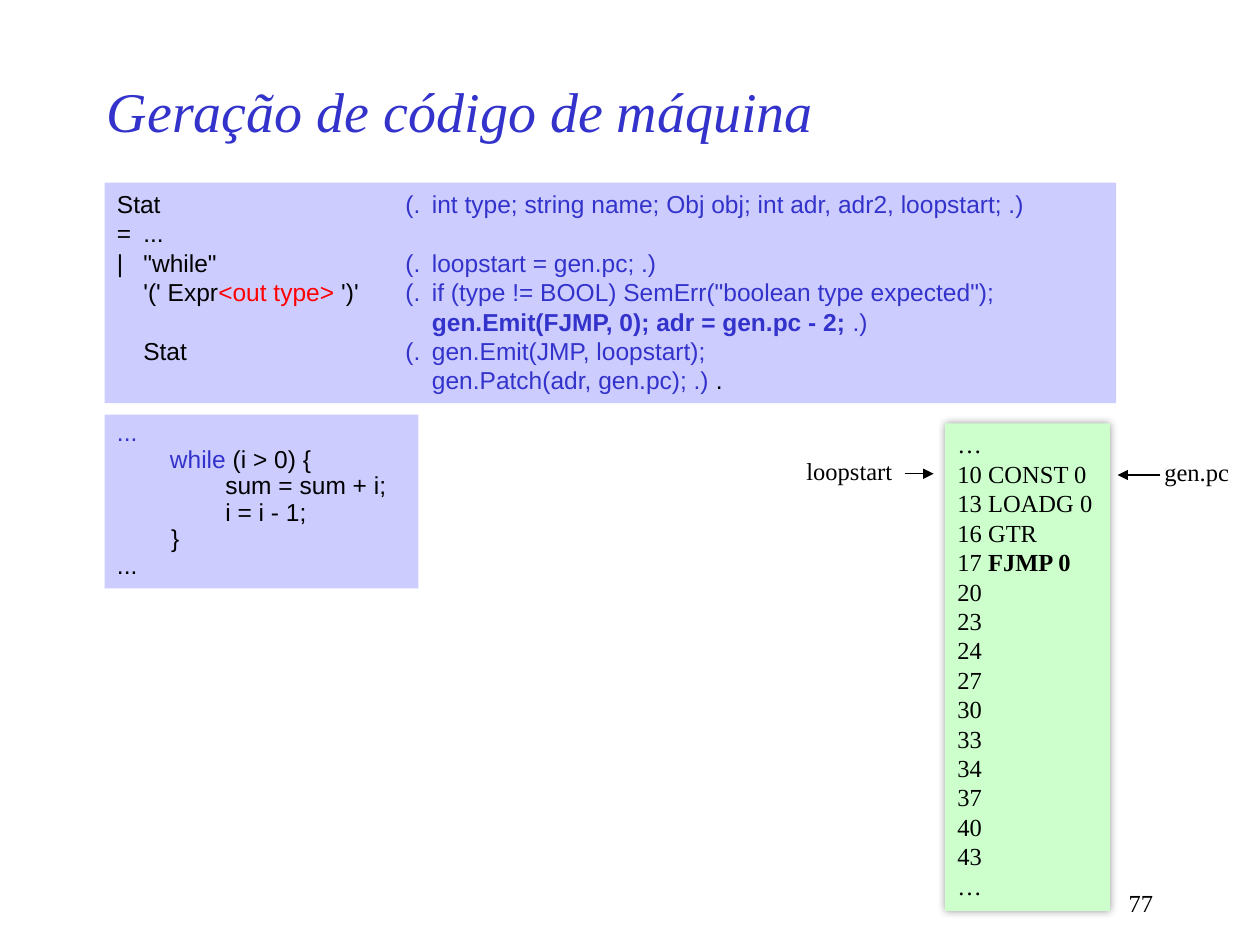
from pptx import Presentation
from pptx.dml.color import RGBColor
from pptx.enum.shapes import MSO_CONNECTOR as CONN, MSO_SHAPE as SHAPE
from pptx.enum.text import MSO_ANCHOR as ANCHOR, PP_ALIGN as ALIGN
from pptx.oxml import parse_xml
from pptx.oxml.ns import nsdecls
from pptx.util import Inches, Pt

BLACK, BLUE, RED = "000000", "3333CC", "FF0000"
LILAC, GREEN = "CCCCFF", "CCFFCC"
SERIF = {"name": "Times New Roman", "size": Pt(14)}
SANS = {"name": "Arial", "size": Pt(14)}
GRAMMAR_TABS = (0.21, 0.42, 2.29, 2.5, 2.71)

GRAMMAR = [
    [("Stat\t\t",), ("(.\tint type; string name; Obj obj; int adr, adr2, loopstart; .)", BLUE)],
    [("=\t...",)],
    [("|\t\"while\"\t",), ("(.\tloopstart = gen.pc; .)", BLUE)],
    [("\t'(' Expr",), ("<out type>", RED), (" ')'\t",),
     ("(.\tif (type != BOOL) SemErr(\"boolean type expected\");", BLUE)],
    [("\t\t\t\t", BLUE), ("gen.Emit(FJMP, 0); adr = gen.pc - 2;", BLUE, True), (" .)", BLUE)],
    [("\tStat\t",), ("(.\tgen.Emit(JMP, loopstart);", BLUE)],
    [("\t\t\t\tgen.Patch(adr, gen.pc); .)", BLUE), (" .",)],
]
LOOP = [
    [("...", BLUE)],
    [("while", BLUE), (" (i > 0) {",)],
    [("sum = sum + i;",)],
    [("i = i - 1;",)],
    [("}",)],
    [("...",)],
]
LOOP_INDENTS = (0, 0.42, 0.86, 0.86, 0.43, 0)
ADDRESSES = (20, 23, 24, 27, 30, 33, 34, 37, 40, 43)
CODE = [
    [("…",)], [("10 CONST 0",)], [("13 LOADG 0",)], [("16 GTR",)],
    [("17 ",), ("FJMP 0", BLACK, True)],
    *[[(str(address),)] for address in ADDRESSES],
    [("…",)],
]


def rgb(color):
    return RGBColor.from_string(color)


def apply(obj, values):
    for key, value in values.items():
        setattr(obj, key, value)


def write(sp, lines, font, inset=(0.1, 0.05), wrap=True, anchor=ANCHOR.TOP, para=None):
    tf = sp.text_frame
    dx, dy = map(Inches, inset)
    apply(tf, {"word_wrap": wrap, "vertical_anchor": anchor, "margin_left": dx,
               "margin_right": dx, "margin_top": dy, "margin_bottom": dy})
    for i, line in enumerate(lines):
        p = tf.add_paragraph() if i else tf.paragraphs[0]
        apply(p, {"alignment": ALIGN.LEFT, **(para or {})})
        for text, color, bold in (((*run, BLACK, False)[:3] if len(run) == 1
                                   else (*run, False)[:3]) for run in line):
            r = p.add_run()
            r.text = text
            apply(r.font, {**font, "bold": bold})
            r.font.color.rgb = rgb(color)
    return tf


def add_text(s, at, text, font, color=BLACK, **options):
    sp = s.shapes.add_textbox(*map(Inches, at))
    write(sp, [[(text, color)]], font, **options)


def add_panel(s, at, fill, lines, font, **options):
    sp = s.shapes.add_shape(SHAPE.RECTANGLE, *map(Inches, at))
    sp.shadow.inherit = False
    sp.fill.solid()
    sp.fill.fore_color.rgb = rgb(fill)
    sp.line.fill.background()
    write(sp, lines, font, **options)
    return sp


def set_tabs(sp, stops):
    tabs = "".join(f'<a:tab pos="{Inches(x)}" algn="l"/>' for x in stops)
    for p in sp.text_frame.paragraphs:
        p._p.get_or_add_pPr().append(
            parse_xml(f'<a:tabLst {nsdecls("a")}>{tabs}</a:tabLst>'))


def set_indents(sp, indents):
    for p, indent in zip(sp.text_frame.paragraphs, indents):
        p._p.get_or_add_pPr().set("marL", str(Inches(indent)))


def add_glow_shadow(sp, blur):
    effects = sp._element.spPr.find("{*}effectLst")
    effects.append(parse_xml(
        f'<a:outerShdw {nsdecls("a")} blurRad="{Pt(blur)}" dist="0" dir="0" algn="ctr" '
        'rotWithShape="0"><a:srgbClr val="000000"><a:alpha val="40000"/></a:srgbClr>'
        '</a:outerShdw>'))


def add_arrow(s, x1, x2, y):
    cx = s.shapes.add_connector(CONN.STRAIGHT, *map(Inches, (x1, y, x2, y)))
    cx.line.width = Pt(0.75)
    cx.line.color.rgb = rgb(BLACK)
    cx.line._get_or_add_ln().append(
        parse_xml(f'<a:tailEnd {nsdecls("a")} type="triangle"/>'))
    cx._element.spPr.append(parse_xml(f'<a:effectLst {nsdecls("a")}/>'))


def main():
    prs = Presentation()
    apply(prs, {"slide_width": Inches(10), "slide_height": Inches(7.5)})
    s = prs.slides.add_slide(prs.slide_layouts[6])

    add_text(s, (7.17, 7, 2.08, 0.33), "77", SERIF, para={"alignment": ALIGN.RIGHT})
    add_text(s, (0.75, 0.5, 7.5, 0.75), "Geração de código de máquina",
             {**SERIF, "size": Pt(32), "italic": True}, BLUE, anchor=ANCHOR.MIDDLE)

    grammar = add_panel(s, (0.83, 1.45, 8.03, 1.75), LILAC, GRAMMAR, SANS)
    set_tabs(grammar, GRAMMAR_TABS)
    loop = add_panel(s, (0.83, 3.29, 2.49, 1.38), LILAC, LOOP, SANS,
                     para={"line_spacing": 0.9})
    set_indents(loop, LOOP_INDENTS)
    code = add_panel(s, (7.5, 3.36, 1.31, 3.87), GREEN, CODE, SERIF)
    add_glow_shadow(code, 5)

    for label, at, x1, x2, y in (
        ("loopstart", (6.4, 3.62, 0.69, 0.24), 7.18, 7.41, 3.76),
        ("gen.pc", (9.24, 3.63, 0.52, 0.24), 9.21, 8.87, 3.77),
    ):
        add_arrow(s, x1, x2, y)
        add_text(s, at, label, SERIF, inset=(0, 0), wrap=False)

    prs.save("out.pptx")


main()
